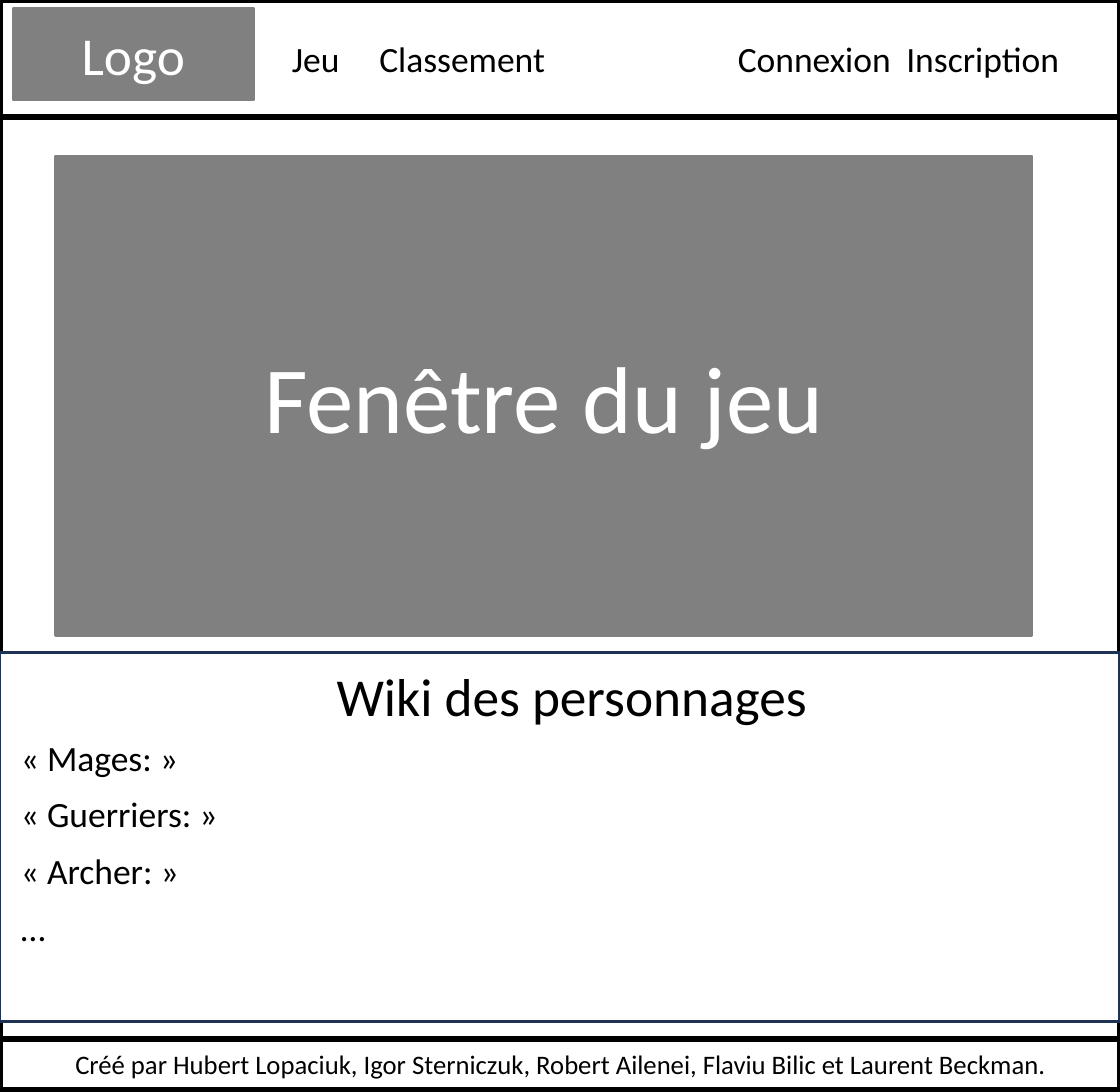
from pptx import Presentation
from pptx.dml.color import RGBColor
from pptx.enum import shapes, text
from pptx.util import Inches, Pt

WIDTH, HEIGHT = 5.25, 5.12
BLACK, WHITE, GREY, NAVY = "000000", "FFFFFF", "808080", "1E3256"
FONT = "Calibri"

# left, top, width, height, fill, line colour, line width
PAGE = (0, 0, WIDTH, HEIGHT, None, BLACK, 2)
HEADER = (0, 0, WIDTH, 0.55, None, BLACK, 2)
GAME = (0.26, 0.73, 4.58, 2.25, GREY, GREY, 0.75)
LOGO = (0.06, 0.04, 1.13, 0.43, GREY, GREY, 0.75)
WIKI = (0, 3.06, WIDTH, 1.73, WHITE, NAVY, 1)
FOOTER = (0, 4.87, WIDTH, 0.24, None, BLACK, 2)

CREDITS = ("Créé par Hubert Lopaciuk, Igor Sterniczuk, Robert Ailenei, "
           "Flaviu Bilic et Laurent Beckman.")
MENU = [("Jeu", 1.27, 0.45), ("Classement", 1.68, 1), ("Connexion", 3.36, 0.95),
        ("Inscription", 4.15, 0.95)]
WIKI_TITLE = "Wiki des personnages"
CHARACTERS = ["« Mages: »", "« Guerriers: »", "« Archer: »", "…"]
LIST_TOP, LIST_BOTTOM, LABEL_HEIGHT = 3.4, 4.2, 0.3


def rgb(value):
    return RGBColor.from_string(value)


def write(sp, words, size, color):
    p = sp.text_frame.paragraphs[0]
    p.text = words
    p.font.name = FONT
    p.font.size = Pt(size)
    p.font.color.rgb = rgb(color)
    return p


def add_panel(s, panel, words=None, size=12, color=BLACK):
    """Draw a bordered rectangle, with centred words if there are any."""
    *place, fill, line, line_width = panel
    sp = s.shapes.add_shape(shapes.MSO_SHAPE.RECTANGLE, *map(Inches, place))
    sp.shadow.inherit = False
    if fill:
        sp.fill.solid()
        sp.fill.fore_color.rgb = rgb(fill)
    else:
        sp.fill.background()
    sp.line.color.rgb = rgb(line)
    sp.line.width = Pt(line_width)
    if words:
        sp.text_frame.vertical_anchor = text.MSO_ANCHOR.MIDDLE
        write(sp, words, size, color).alignment = text.PP_ALIGN.CENTER


def add_label(s, words, left, top, width, height=LABEL_HEIGHT, size=12):
    sp = s.shapes.add_textbox(*map(Inches, (left, top, width, height)))
    sp.text_frame.word_wrap = False
    write(sp, words, size, BLACK).alignment = text.PP_ALIGN.LEFT


def main():
    prs = Presentation()
    prs.slide_width, prs.slide_height = Inches(WIDTH), Inches(HEIGHT)
    s = prs.slides.add_slide(prs.slide_layouts[6])

    add_panel(s, PAGE)
    add_panel(s, HEADER)
    menu_top = (HEADER[3] - LABEL_HEIGHT) / 2
    for words, left, width in MENU:
        add_label(s, words, left, menu_top, width)

    add_panel(s, GAME, "Fenêtre du jeu", 32, WHITE)
    add_panel(s, LOGO, "Logo", 18, WHITE)
    add_panel(s, WIKI)
    add_label(s, WIKI_TITLE, 1.48, WIKI[1], 2.43, 0.4, 18)
    add_panel(s, FOOTER, CREDITS, 9)

    step = (LIST_BOTTOM - LIST_TOP) / (len(CHARACTERS) - 1)
    for i, words in enumerate(CHARACTERS):
        add_label(s, words, 0, LIST_TOP + i * step, 1.14)

    prs.save("out.pptx")


if __name__ == "__main__":
    main()
